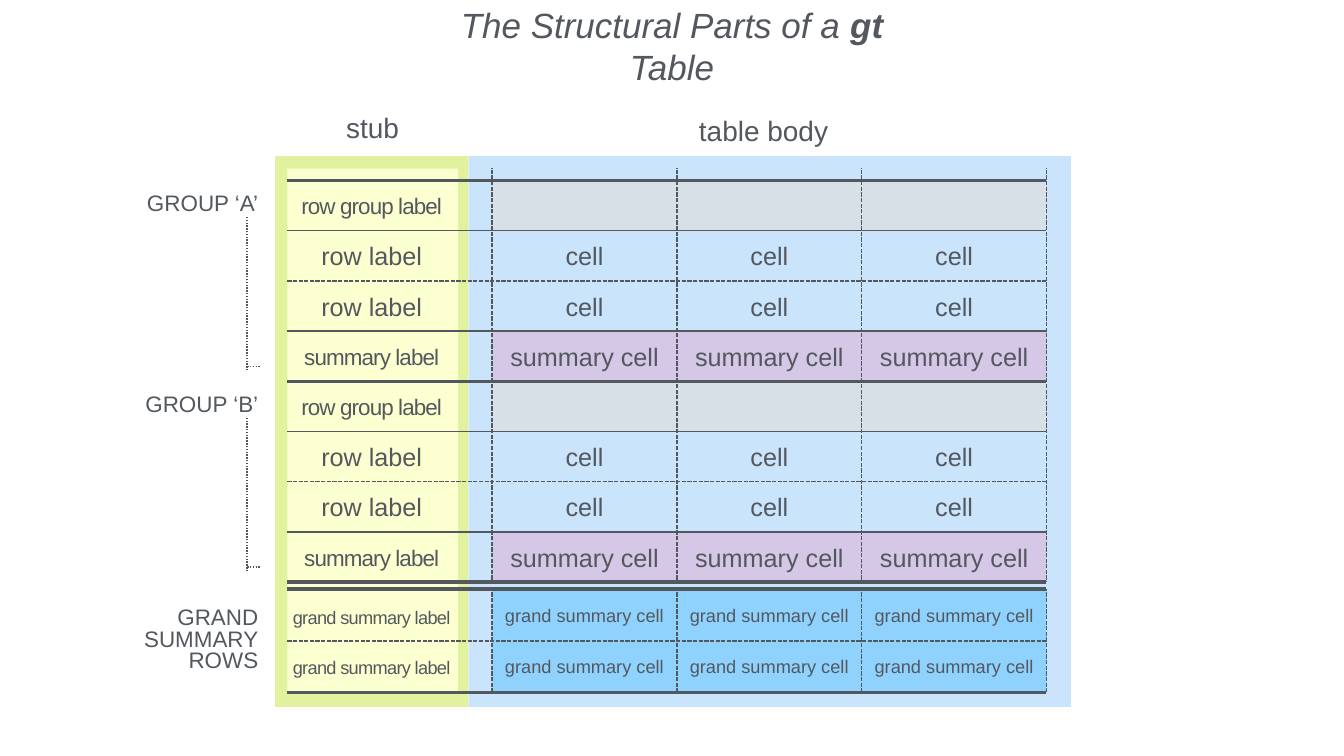
"""Draw the structural parts of a gt table as a labelled grid diagram."""
import lxml.etree
import pptx
import pptx.dml.color
import pptx.enum.dml
import pptx.enum.shapes
import pptx.enum.text
import pptx.oxml.ns
import pptx.util

Pt = pptx.util.Pt
RGBColor = pptx.dml.color.RGBColor
Align = pptx.enum.text.PP_ALIGN
Anchor = pptx.enum.text.MSO_ANCHOR
Dash = pptx.enum.dml.MSO_LINE

INK = RGBColor(0x53, 0x58, 0x5F)
STUB_EDGE = RGBColor(0xE1, 0xF1, 0x9D)
STUB_FILL = RGBColor(0xFC, 0xFF, 0xCF)
BODY_FILL = RGBColor(0xCA, 0xE4, 0xFC)
HEADING_FILL = RGBColor(0xDC, 0xDE, 0xE0)
SUMMARY_FILL = RGBColor(0xDA, 0xBF, 0xE0)
GRAND_FILL = RGBColor(0x56, 0xC1, 0xFF)

FRAME_FORMAT = {
    "margin_left": Pt(4), "margin_right": Pt(4),
    "margin_top": Pt(4), "margin_bottom": Pt(4),
    "vertical_anchor": Anchor.MIDDLE, "word_wrap": True,
}
FONT_FORMAT = {"name": "Arial", "bold": False, "italic": False}

STUB_LEFT, STUB_CENTER = 410.4, 531
BODY_LEFT, COLUMN_WIDTH, COLUMNS = 703, 264, 3
BODY_RIGHT = BODY_LEFT + COLUMN_WIDTH * COLUMNS
GRID_TOP, ROW_HEIGHT = 257.7, 71.75
GROUP_HEIGHT = ROW_HEIGHT * 4
GROUPS_BOTTOM = GRID_TOP + GROUP_HEIGHT * 2
GRAND_TOP, GRAND_ROW_HEIGHT = GROUPS_BOTTOM + 10, 73.75
GRAND_BOTTOM = GRAND_TOP + GRAND_ROW_HEIGHT * 2
THICK, THIN = 5, 2

GROUP_ROWS = [
    ("row group label", 32, -130, None, Dash.SOLID),
    ("row label", 36, 0, "cell", Dash.SQUARE_DOT),
    ("row label", 36, 0, "cell", Dash.SOLID),
    ("summary label", 32, -130, "summary cell", None),
]


def add_panel(shapes, left, top, width, height, color, opacity=100):
    """Add a borderless rectangle with the given opacity in percent."""
    panel = shapes.add_shape(pptx.enum.shapes.MSO_SHAPE.RECTANGLE,
                             Pt(left), Pt(top), Pt(width), Pt(height))
    panel.shadow.inherit = False
    panel.line.fill.background()
    panel.fill.solid()
    panel.fill.fore_color.rgb = color
    if opacity < 100:
        fill_color = panel._element.spPr.find(".//" + pptx.oxml.ns.qn("a:srgbClr"))
        alpha = lxml.etree.SubElement(fill_color, pptx.oxml.ns.qn("a:alpha"))
        alpha.set("val", str(opacity * 1000))


def add_rule(shapes, start, end, width=THIN, dash=Dash.SOLID):
    """Add a straight line between two points."""
    rule = shapes.add_connector(pptx.enum.shapes.MSO_CONNECTOR.STRAIGHT,
                                *(Pt(value) for value in (*start, *end)))
    rule.line.color.rgb = INK
    rule.line.width = Pt(width)
    rule.line.dash_style = dash
    lxml.etree.SubElement(rule._element.spPr, pptx.oxml.ns.qn("a:effectLst"))


def add_text(shapes, center, size, paragraphs, font_size, align=Align.CENTER,
             line_spacing=None, tracking=0, **frame_format):
    """Add a text box around a center; a paragraph is a list of (text, font format)."""
    (x, y), (width, height) = center, size
    box = shapes.add_textbox(Pt(x - width / 2), Pt(y - height / 2), Pt(width), Pt(height))
    frame = box.text_frame
    for name, value in (FRAME_FORMAT | frame_format).items():
        setattr(frame, name, value)
    for index, pieces in enumerate(paragraphs):
        para = frame.add_paragraph() if index else frame.paragraphs[0]
        para.alignment = align
        para.line_spacing = line_spacing
        for text, font_format in pieces:
            span = para.add_run()
            span.text = text
            for name, value in (FONT_FORMAT | {"size": Pt(font_size)} | font_format).items():
                setattr(span.font, name, value)
            span.font.color.rgb = INK
            if tracking:
                span._r.get_or_add_rPr().set("spc", str(tracking))


def add_stub_label(shapes, y, text, font_size, tracking):
    """Add a label in the stub column."""
    add_text(shapes, (STUB_CENTER, y), (282, 50), [[(text, {})]], font_size, tracking=tracking)


def add_cells(shapes, y, text, font_size):
    """Add the same text in each body column."""
    for column in range(COLUMNS):
        x = BODY_LEFT + COLUMN_WIDTH * (column + 0.5)
        add_text(shapes, (x, y), (COLUMN_WIDTH, 50), [[(text, {})]], font_size)


def add_side_label(shapes, y, height, lines):
    """Add a right-aligned label to the left of the stub."""
    add_text(shapes, (283.7, y), (178.6, height), [[(line, {})] for line in lines], 32,
             align=Align.RIGHT, line_spacing=0.8)


def add_bands(shapes):
    """Add the coloured areas behind the grid."""
    add_panel(shapes, 393, 223, 276, 787, STUB_EDGE)
    add_panel(shapes, STUB_LEFT, 241, 244, 750, STUB_FILL)
    add_panel(shapes, 669.6, 223, 860.4, 787, BODY_FILL)
    width = BODY_RIGHT - BODY_LEFT
    for top in (GRID_TOP, GRID_TOP + GROUP_HEIGHT):
        add_panel(shapes, BODY_LEFT, top, width, ROW_HEIGHT, HEADING_FILL, 75)
        add_panel(shapes, BODY_LEFT, top + ROW_HEIGHT * 3, width, ROW_HEIGHT, SUMMARY_FILL, 75)
    add_panel(shapes, BODY_LEFT, GRAND_TOP, width, GRAND_ROW_HEIGHT * 2, GRAND_FILL, 50)


def add_grid(shapes):
    """Add the column rules, and the row rules that bound the groups."""
    for column in range(COLUMNS + 1):
        x = BODY_LEFT + COLUMN_WIDTH * column
        add_rule(shapes, (x, GRAND_BOTTOM), (x, 240), dash=Dash.SQUARE_DOT)
    add_panel(shapes, 669.6, GROUPS_BOTTOM, 860.4, GRAND_TOP - GROUPS_BOTTOM, BODY_FILL)
    for y in (GRID_TOP, GRID_TOP + GROUP_HEIGHT, GROUPS_BOTTOM, GRAND_TOP, GRAND_BOTTOM):
        add_rule(shapes, (STUB_LEFT, y), (BODY_RIGHT, y), THICK)


def add_group(shapes, top, name):
    """Add the rows of one group with its name and bracket."""
    for row, (label, font_size, tracking, cell, dash) in enumerate(GROUP_ROWS):
        middle = top + ROW_HEIGHT * (row + 0.5)
        bottom = top + ROW_HEIGHT * (row + 1)
        add_stub_label(shapes, middle, label, font_size, tracking)
        if cell:
            add_cells(shapes, middle, cell, 36)
        if dash:
            add_rule(shapes, (STUB_LEFT, bottom), (BODY_RIGHT, bottom), dash=dash)
    add_side_label(shapes, top + ROW_HEIGHT / 2, 46, [name])
    bracket = shapes.add_group_shape().shapes
    add_rule(bracket, (353, top + 271.5), (353, top + 51.5), dash=Dash.ROUND_DOT)
    add_rule(bracket, (353, top + 265.5), (373, top + 265.5), dash=Dash.ROUND_DOT)


def add_grand_summary(shapes):
    """Add the two grand summary rows with their side label."""
    middle = GRAND_TOP + GRAND_ROW_HEIGHT
    for y in (middle - 36, middle + 36):
        add_stub_label(shapes, y + 2, "grand summary label", 26, -100)
        add_cells(shapes, y, "grand summary cell", 26)
    add_rule(shapes, (STUB_LEFT, middle), (BODY_RIGHT, middle), dash=Dash.SQUARE_DOT)
    add_side_label(shapes, middle, 106, ["GRAND", "SUMMARY", "ROWS"])


def add_headings(shapes):
    """Add the title and the names of the two table parts."""
    title = [("The Structural Parts of a ", {"italic": True}),
             ("gt", {"italic": True, "bold": True}),
             (" Table", {"italic": True})]
    add_text(shapes, (960, 95), (741, 68), [title], 50,
             vertical_anchor=Anchor.BOTTOM, word_wrap=False)
    add_text(shapes, (510, 186.5), (128, 56), [[("stub", {})]], 40,
             align=Align.RIGHT, line_spacing=0.8)
    add_text(shapes, (1136, 186.5), (283, 56), [[("table body", {})]], 40, align=Align.LEFT)


def main():
    """Build the slide and save the deck."""
    deck = pptx.Presentation()
    deck.slide_width, deck.slide_height = Pt(1920), Pt(1080)
    shapes = deck.slides.add_slide(deck.slide_layouts[6]).shapes
    add_bands(shapes)
    add_grid(shapes)
    add_headings(shapes)
    add_group(shapes, GRID_TOP, "GROUP ‘A’")
    add_group(shapes, GRID_TOP + GROUP_HEIGHT, "GROUP ‘B’")
    add_grand_summary(shapes)
    deck.save("out.pptx")


if __name__ == "__main__":
    main()
